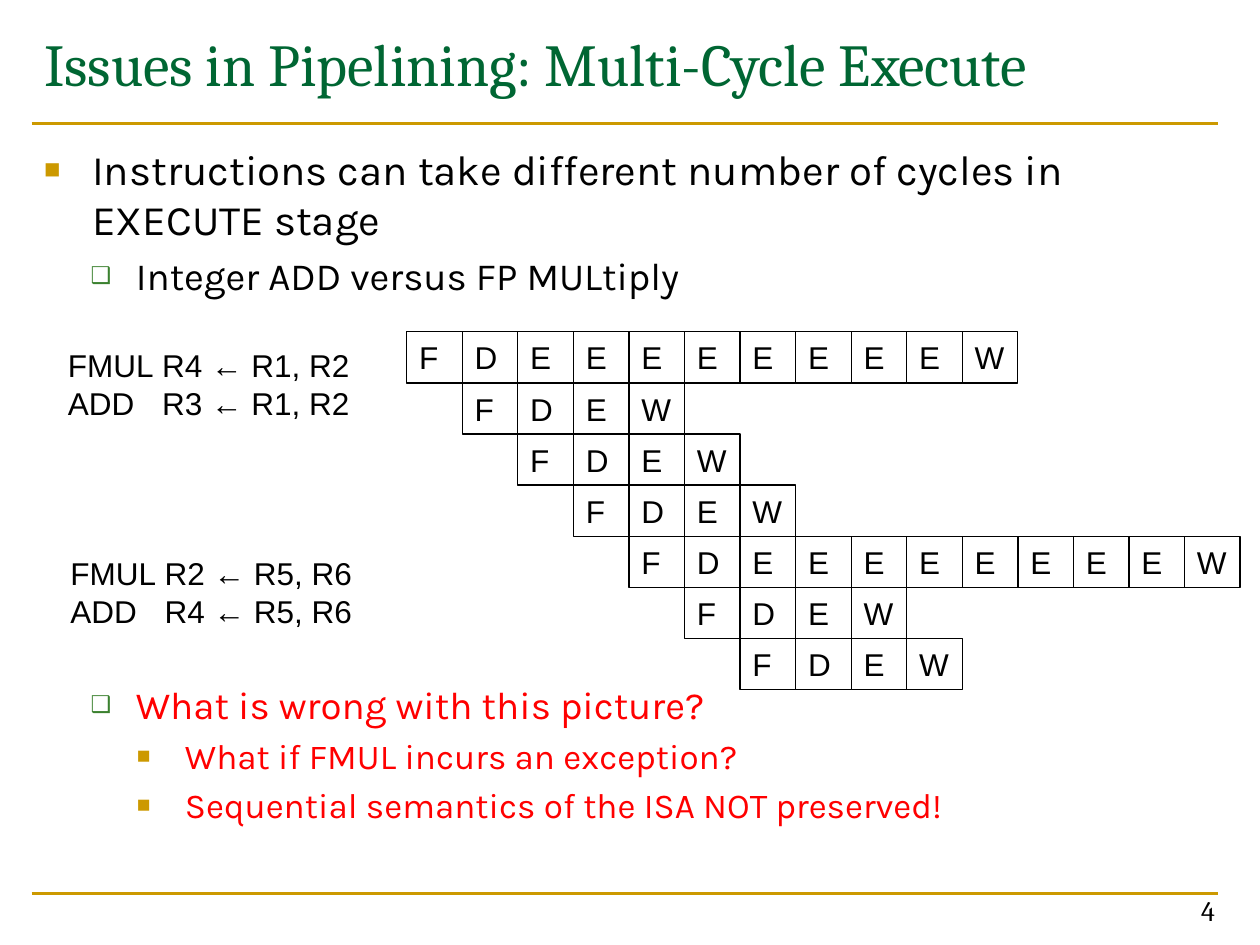
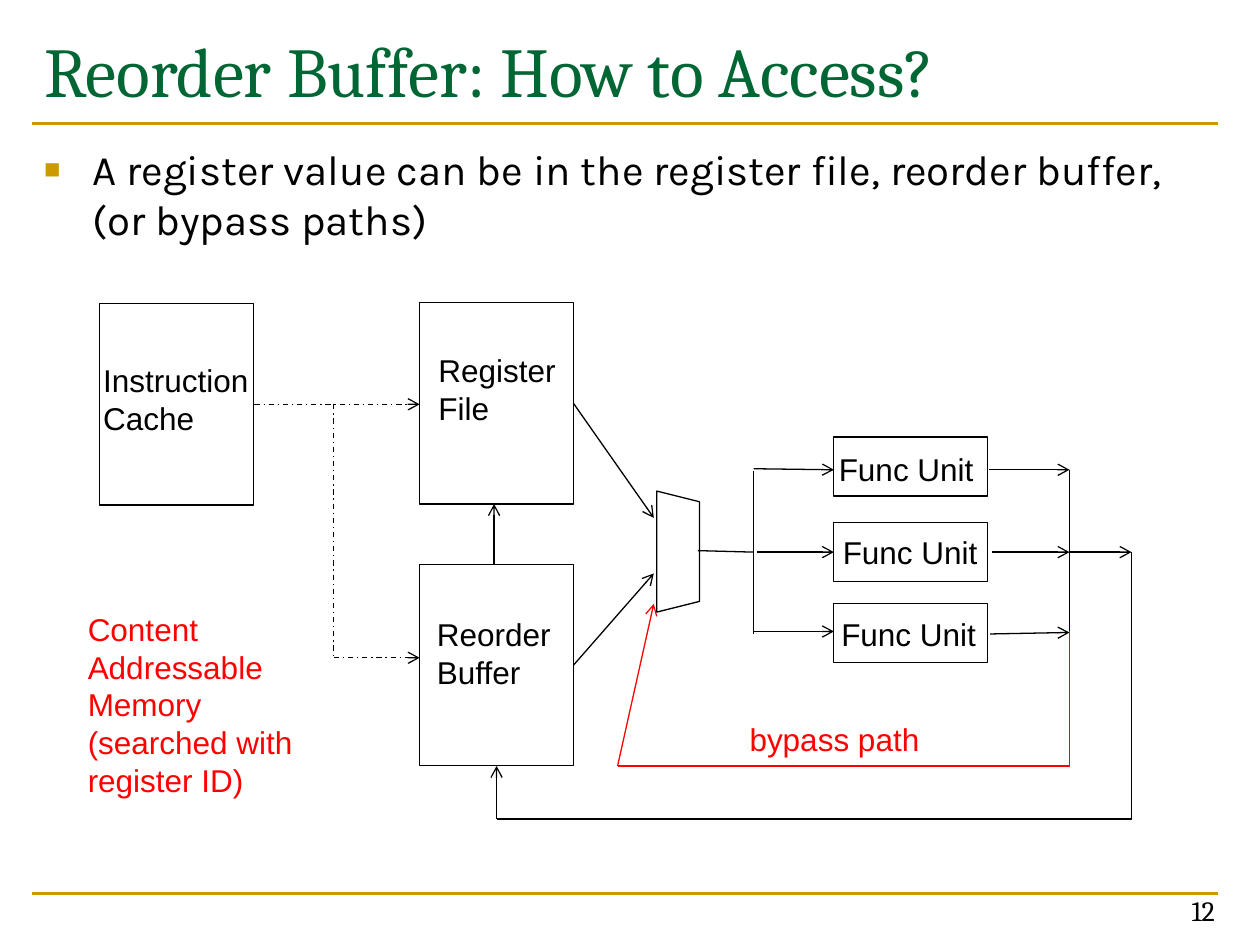
"""Build two lecture slides on multi-cycle execution and the reorder buffer."""
from dataclasses import dataclass

from lxml import etree
from pptx import Presentation
from pptx import util as u
from pptx.dml.color import RGBColor
from pptx.enum import dml, shapes, text
from pptx.oxml import ns


@dataclass(frozen=True)
class Theme:
    gold: str = "CC9900"
    green: str = "006633"
    leaf: str = "3B812F"
    black: str = "000000"
    white: str = "FFFFFF"
    red: str = "FF0000"
    heading: str = "Cambria"
    body: str = "Karla"
    label: str = "Arial"
    label_size: int = 18
    number_size: int = 16
    level_sizes: tuple = (24, 22, 20)
    rule_width: float = 1.5
    line_width: float = 0.75


THEME = Theme()
BULLETS = (
    ("■", THEME.gold, 65, 0.97, 0.97),
    ("❑", THEME.leaf, 60, 1.85, 0.91),
    ("■", THEME.gold, 65, 2.84, 0.97),
)
RULE_LEFT, RULE_RIGHT, RULE_HEIGHTS = 0.64, 24.56, (2.49, 18.01)
TITLE_BOX = (0.64, 0.43, 24.3, 2.97)
BODY_BOX = (0.64, 2.77, 23.93, 14.43)
NUMBER_BOX = (18.82, 17.55, 5.92, 1.27)

DIAGRAM_GAP = 219
ISSUES = [
    (0, "Instructions can take different number of cycles in EXECUTE stage", THEME.black, None),
    (1, "Integer ADD versus FP MULtiply", THEME.black, None),
    (1, "What is wrong with this picture?", THEME.red, DIAGRAM_GAP),
    (2, "What if FMUL incurs an exception?", THEME.red, None),
    (2, "Sequential semantics of the ISA NOT preserved!", THEME.red, None),
]
ACCESS = [
    (0, "A register value can be in the register file, reorder buffer, (or bypass paths)",
     THEME.black, None),
]

LONG, SHORT = "FDEEEEEEEEW", "FDEW"
PIPELINE = [LONG, SHORT, SHORT, SHORT, LONG, SHORT, SHORT]
PIPELINE_LEFT, PIPELINE_TOP = 8.2, 6.69
CELL_WIDTH, CELL_HEIGHT = 1.12, 1.03
OPERAND_TAB = 1.9
PROGRAMS = [
    (["FMUL\tR4 ← R1, R2", "ADD\tR3 ← R1, R2"], (1.12, 6.86, 6.22, 1.8)),
    (["FMUL\tR2 ← R5, R6", "ADD\tR4 ← R5, R6"], (1.17, 11.05, 6.2, 1.8)),
]

STORAGE_SIZE, UNIT_SIZE = (3.1, 4.06), (3.1, 1.19)
BLOCKS = [
    ((2.01, 6.12), STORAGE_SIZE, ["Instruction", "Cache"], (1.83, 7.16, 3.45, 1.8)),
    ((8.46, 6.1), STORAGE_SIZE, ["Register", "File"], (8.59, 6.96, 2.9, 1.8)),
    ((8.46, 11.38), STORAGE_SIZE, ["Reorder", "Buffer"], (8.56, 12.27, 2.82, 1.8)),
    ((16.81, 8.81), UNIT_SIZE, ["Func Unit"], (16.66, 8.94, 3.25, 1.02)),
    ((16.81, 10.54), UNIT_SIZE, ["Func Unit"], (16.74, 10.62, 3.25, 1.02)),
    ((16.81, 12.17), UNIT_SIZE, ["Func Unit"], (16.71, 12.27, 3.25, 1.02)),
]
MUX_BOX = (12.45, 10.69, 2.44, 0.86)
NOTES = [
    (["bypass path"], (14.86, 14.4, 3.96, 1.02)),
    (["Content", "Addressable", "Memory", "(searched with", "register ID)"],
     (1.52, 12.17, 4.67, 4.09)),
]

FORK, MERGE, RESULT = 15.19, 21.56, 22.81
PLAIN_WIRES = [
    [(14.07, 11.1), (FORK, 11.13)],
    [(FORK, 9.5), (FORK, 12.78)],
    [(MERGE, 9.47), (MERGE, 12.75)],
]
ARROW_WIRES = [
    [(FORK, 9.45), (16.81, 9.47)],
    [(15.27, 11.13), (16.81, 11.13)],
    [(FORK, 12.73), (16.81, 12.73)],
    [(19.94, 9.47), (MERGE, 9.47)],
    [(19.99, 11.13), (MERGE, 11.13)],
    [(19.96, 12.78), (MERGE, 12.75)],
    [(MERGE, 11.13), (RESULT, 11.13)],
    [(RESULT, 11.13), (RESULT, 16.51), (10.01, 16.51), (10.01, 15.44)],
    [(9.96, 11.38), (9.96, 10.16)],
    [(11.56, 8.13), (13.18, 10.44)],
    [(11.56, 13.41), (13.18, 11.56)],
]
LOOKUP_WIRES = [
    [(5.13, 8.15), (8.46, 8.15)],
    [(6.73, 8.15), (6.73, 13.26), (8.46, 13.26)],
]
BYPASS_WIRE = [(MERGE, 12.73), (MERGE, 15.44), (12.45, 15.44), (13.18, 12.17)]


def rgb(colour):
    return RGBColor.from_string(colour)


def lengths(values):
    return [u.Cm(value) for value in values]


def add_element(parent, tag, **attributes):
    element = etree.SubElement(parent, ns.qn(tag))
    for name, value in attributes.items():
        element.set(name, str(value))
    return element


def write(paragraph, words, *, size=THEME.label_size, font=THEME.label,
          colour=THEME.black, align=text.PP_ALIGN.LEFT):
    paragraph.alignment = align
    run = paragraph.add_run()
    run.text = words
    run.font.size = u.Pt(size)
    run.font.name = font
    run.font.color.rgb = rgb(colour)


def add_text(slide, lines, box, *, wrap=False, anchor=text.MSO_ANCHOR.TOP, tab=None, **style):
    frame = slide.shapes.add_textbox(*lengths(box)).text_frame
    frame.word_wrap = wrap
    frame.vertical_anchor = anchor
    for index, line in enumerate(lines):
        paragraph = frame.add_paragraph() if index else frame.paragraphs[0]
        write(paragraph, line, **style)
        if tab:
            stops = add_element(paragraph._p.get_or_add_pPr(), "a:tabLst")
            add_element(stops, "a:tab", pos=u.Cm(tab), algn="l")


def add_body(slide, items):
    frame = slide.shapes.add_textbox(*lengths(BODY_BOX)).text_frame
    frame.word_wrap = True
    for index, (level, words, colour, gap) in enumerate(items):
        paragraph = frame.add_paragraph() if index else frame.paragraphs[0]
        size = THEME.level_sizes[level]
        write(paragraph, words, size=size, font=THEME.body, colour=colour)
        paragraph.level = level
        paragraph.space_before = u.Pt(gap or 0.2 * size)
        mark, mark_colour, percent, margin, hang = BULLETS[level]
        properties = paragraph._p.get_or_add_pPr()
        properties.set("marL", str(u.Cm(margin)))
        properties.set("indent", str(-u.Cm(hang)))
        add_element(add_element(properties, "a:buClr"), "a:srgbClr", val=mark_colour)
        add_element(properties, "a:buSzPct", val=percent * 1000)
        add_element(properties, "a:buFont", typeface=THEME.label)
        add_element(properties, "a:buChar", char=mark)


def add_outline(slide, box, kind=shapes.MSO_SHAPE.RECTANGLE, fill=None):
    shape = slide.shapes.add_shape(kind, *lengths(box))
    shape.shadow.inherit = False
    if fill:
        shape.fill.solid()
        shape.fill.fore_color.rgb = rgb(fill)
    else:
        shape.fill.background()
    shape.line.color.rgb = rgb(THEME.black)
    shape.line.width = u.Pt(THEME.line_width)
    return shape


def add_wire(slide, points, *, colour=THEME.black, width=THEME.line_width,
             dash=None, arrow=False):
    for start, end in zip(points, points[1:]):
        connector = slide.shapes.add_connector(
            shapes.MSO_CONNECTOR.STRAIGHT, *lengths(start + end))
        connector.line.color.rgb = rgb(colour)
        connector.line.width = u.Pt(width)
        if dash:
            connector.line.dash_style = dash
        if arrow and end == points[-1]:
            add_element(connector.line._get_or_add_ln(), "a:tailEnd", type="arrow")
        add_element(connector._element.spPr, "a:effectLst")


def add_slide(presentation, title, title_size, number, items):
    slide = presentation.slides.add_slide(presentation.slide_layouts[6])
    for height in RULE_HEIGHTS:
        add_wire(slide, [(RULE_LEFT, height), (RULE_RIGHT, height)],
                 colour=THEME.gold, width=THEME.rule_width)
    add_text(slide, [title], TITLE_BOX, wrap=True, size=title_size,
             font=THEME.heading, colour=THEME.green)
    add_body(slide, items)
    add_text(slide, [number], NUMBER_BOX, wrap=True, anchor=text.MSO_ANCHOR.BOTTOM,
             size=THEME.number_size, font=THEME.heading, align=text.PP_ALIGN.RIGHT)
    return slide


def draw_pipeline(slide):
    for row, stages in enumerate(PIPELINE):
        for column, stage in enumerate(stages, start=row):
            box = (PIPELINE_LEFT + column * CELL_WIDTH, PIPELINE_TOP + row * CELL_HEIGHT,
                   CELL_WIDTH, CELL_HEIGHT)
            cell = add_outline(slide, box, fill=THEME.white)
            cell.text_frame.vertical_anchor = text.MSO_ANCHOR.MIDDLE
            cell.text_frame.word_wrap = False
            write(cell.text_frame.paragraphs[0], stage)
    for lines, box in PROGRAMS:
        add_text(slide, lines, box, tab=OPERAND_TAB)


def draw_datapath(slide):
    for position, size, lines, label_box in BLOCKS:
        add_outline(slide, position + size)
        add_text(slide, lines, label_box)
    add_outline(slide, MUX_BOX, kind=shapes.MSO_SHAPE.TRAPEZOID).rotation = 90
    for points in PLAIN_WIRES:
        add_wire(slide, points)
    for points in ARROW_WIRES:
        add_wire(slide, points, arrow=True)
    for points in LOOKUP_WIRES:
        add_wire(slide, points, dash=dml.MSO_LINE.DASH_DOT, arrow=True)
    add_wire(slide, BYPASS_WIRE, colour=THEME.red, arrow=True)
    for lines, box in NOTES:
        add_text(slide, lines, box, colour=THEME.red)


def main():
    presentation = Presentation()
    presentation.slide_width, presentation.slide_height = u.Cm(25.4), u.Cm(19.05)
    draw_pipeline(add_slide(
        presentation, "Issues in Pipelining: Multi-Cycle Execute", 34, "4", ISSUES))
    draw_datapath(add_slide(
        presentation, "Reorder Buffer: How to Access?", 40, "12", ACCESS))
    presentation.save("out.pptx")


main()
